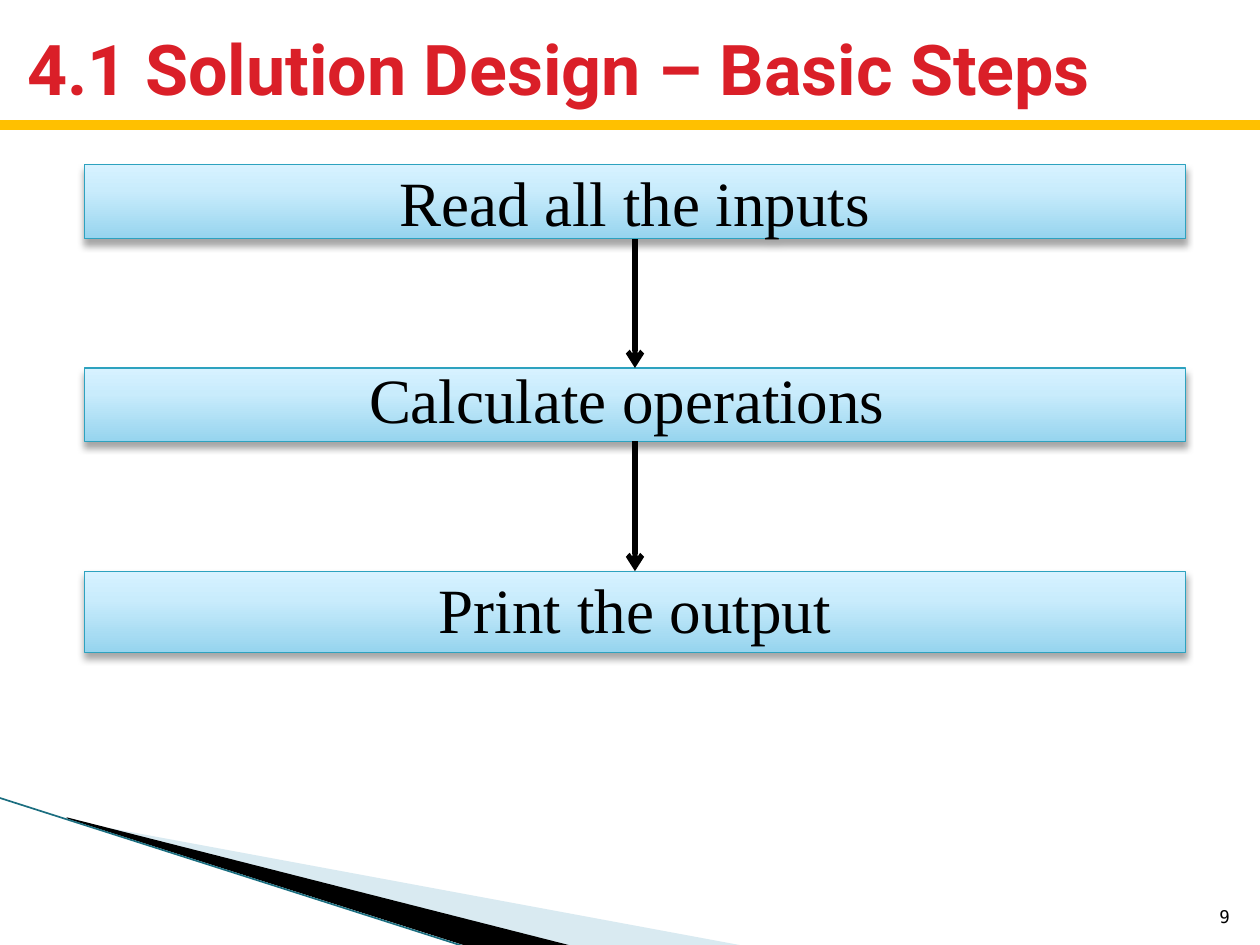
from copy import deepcopy

from lxml.etree import SubElement
from pptx import Presentation
from pptx.dml.color import RGBColor
from pptx.enum.shapes import MSO_CONNECTOR, MSO_SHAPE
from pptx.enum.text import MSO_ANCHOR, PP_ALIGN
from pptx.oxml.ns import qn
from pptx.util import Pt

WHITE = RGBColor(0xFF, 0xFF, 0xFF)
BLACK = RGBColor(0, 0, 0)
RED = RGBColor(0xDA, 0x1F, 0x28)
AMBER = RGBColor(0xFF, 0xC0, 0x00)
TEAL = RGBColor(0x2D, 0xA2, 0xBF)
DARK_TEAL = RGBColor(0x1B, 0x6E, 0x80)
PALE_BLUE = RGBColor(0xA0, 0xCB, 0xDC)
BOX_GRADIENT = [
    (0, RGBColor(0x96, 0xD4, 0xEE)),
    (0.65, RGBColor(0xC9, 0xEC, 0xFC)),
    (1, RGBColor(0xD7, 0xF2, 0xFF)),
]

SLIDE_WIDTH, SLIDE_HEIGHT = 720, 540

# Text, top relative to the flow, height, line spacing
STEPS = [
    ("Read all the inputs", 0, 42.5, 0.8),
    ("Calculate operations ", 116.3, 42, 0.7),
    ("Print the output", 232.4, 46.5, 0.8),
]


def write_text(shape, text, *, font, size, color, bold=False, align=PP_ALIGN.LEFT,
               anchor=MSO_ANCHOR.TOP, line_spacing=None):
    frame = shape.text_frame
    frame.word_wrap = True
    frame.vertical_anchor = anchor
    paragraph = frame.paragraphs[0]
    paragraph.alignment = align
    if line_spacing:
        paragraph.line_spacing = line_spacing
    run = paragraph.add_run()
    run.text = text
    run.font.name = font
    run.font.size = Pt(size)
    run.font.bold = bold
    run.font.color.rgb = color


def add_text(slide, left, top, width, height, text, **text_format):
    box = slide.shapes.add_textbox(Pt(left), Pt(top), Pt(width), Pt(height))
    write_text(box, text, **text_format)


def add_line(slide, start, end, color, width, arrow=False):
    points = [Pt(value) for value in (*start, *end)]
    connector = slide.shapes.add_connector(MSO_CONNECTOR.STRAIGHT, *points)
    connector.line.color.rgb = color
    connector.line.width = Pt(width)
    if arrow:
        SubElement(connector.line._get_or_add_ln(), qn("a:tailEnd"), type="arrow")
    SubElement(connector._element.spPr, qn("a:effectLst"))


def add_wedge(slide, points, color, opacity=None):
    builder = slide.shapes.build_freeform(*points[0], scale=Pt(1))
    builder.add_line_segments(points[1:], close=True)
    wedge = builder.convert_to_shape()
    wedge.shadow.inherit = False
    wedge.line.fill.background()
    wedge.fill.solid()
    wedge.fill.fore_color.rgb = color
    if opacity is not None:
        color_element = wedge._element.spPr.find(".//" + qn("a:srgbClr"))
        SubElement(color_element, qn("a:alpha"), val=str(opacity * 1000))


def fill_gradient(shape, stops):
    """Fill from the bottom upwards with any number of colour stops."""
    shape.fill.gradient()
    shape.fill.gradient_angle = 90
    stop_list = shape._element.spPr.find(".//" + qn("a:gsLst"))
    while len(stop_list) < len(stops):
        stop_list.append(deepcopy(stop_list[-1]))
    for stop, (position, color) in zip(shape.fill.gradient_stops, stops):
        stop.position = position
        stop.color.rgb = color


def add_drop_shadow(shape, blur, distance, opacity):
    shape.shadow.inherit = False
    effects = shape._element.spPr.find(qn("a:effectLst"))
    shadow = SubElement(effects, qn("a:outerShdw"), blurRad=str(Pt(blur)),
                        dist=str(Pt(distance)), dir="5400000", rotWithShape="0")
    color = SubElement(shadow, qn("a:srgbClr"), val=str(BLACK))
    SubElement(color, qn("a:alpha"), val=str(opacity * 1000))


def add_step(slide, left, top, width, height, text, line_spacing):
    box = slide.shapes.add_shape(
        MSO_SHAPE.RECTANGLE, Pt(left), Pt(top), Pt(width), Pt(height))
    fill_gradient(box, BOX_GRADIENT)
    box.line.color.rgb = TEAL
    box.line.width = Pt(0.75)
    add_drop_shadow(box, blur=4, distance=3, opacity=35)
    box.text_frame.margin_top = Pt(7.8)
    box.text_frame.margin_bottom = 0
    write_text(box, text, font="Times New Roman", size=36, color=BLACK,
               align=PP_ALIGN.CENTER, line_spacing=line_spacing)


def add_flow(slide, left, top, width):
    for text, offset, height, line_spacing in STEPS:
        add_step(slide, left, top + offset, width, height, text, line_spacing)
    center = left + width / 2
    for (_, offset, height, _), (_, next_offset, _, _) in zip(STEPS, STEPS[1:]):
        add_line(slide, (center, top + offset + height), (center, top + next_offset),
                 BLACK, 3, arrow=True)


def add_corner_decoration(slide, left, top):
    def place(points):
        return [(left + x, top + y) for x, y in points]

    add_wedge(slide, place([(39.6, 12.7), (428.4, 84.7), (328.3, 84.7), (39.6, 12)]),
              PALE_BLUE, opacity=40)
    add_wedge(slide, place([(38.2, 11.3), (329, 84.7), (267.8, 85.4), (38.9, 12)]), BLACK)
    add_line(slide, *place([(-0.7, -0.2), (267.1, 85.4)]), DARK_TEAL, 0.95)


def add_heading(slide, left, top, width, height):
    add_text(slide, left + 8.6, top + 7.9, width - 32.4, height - 10.1,
             "4.1 Solution Design – Basic Steps", font="Roboto", size=40,
             color=RED, bold=True, anchor=MSO_ANCHOR.MIDDLE)
    rule = top + height
    add_line(slide, (left, rule), (left + width, rule), AMBER, 6)


def add_slide_number(slide, left, top, width, height):
    add_text(slide, left, top, width, height, "9", font="DejaVu Sans Mono", size=10,
             color=BLACK, align=PP_ALIGN.RIGHT, anchor=MSO_ANCHOR.BOTTOM)


def main():
    presentation = Presentation()
    presentation.slide_width = Pt(SLIDE_WIDTH)
    presentation.slide_height = Pt(SLIDE_HEIGHT)
    slide = presentation.slides.add_slide(presentation.slide_layouts[6])
    slide.background.fill.solid()
    slide.background.fill.fore_color.rgb = WHITE
    add_corner_decoration(slide, 0, 456)
    add_flow(slide, 48.2, 94, 629.3)
    add_slide_number(slide, 681.1, 504.7, 28.8, 28.8)
    add_heading(slide, 0, 0, SLIDE_WIDTH, 71.3)
    presentation.save("out.pptx")


if __name__ == "__main__":
    main()
